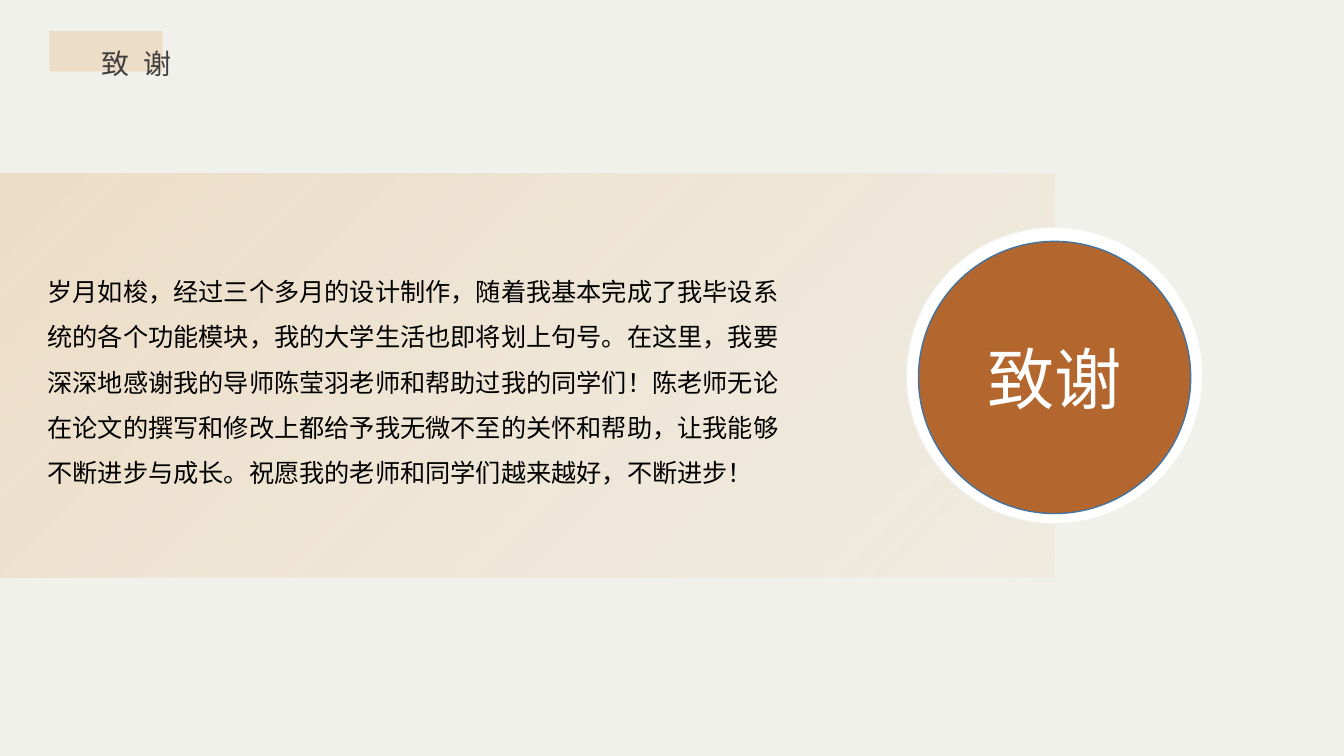
from lxml import etree
from pptx import Presentation
from pptx import util as u
from pptx.dml.color import RGBColor
from pptx.enum import shapes, text
from pptx.oxml import ns

COLORS = {"bg": "F1F1EB", "sand": "EDDDC6", "rust": "B3672E", "rim": "43739E",
          "white": "FFFFFF", "title": "404040", "body": "000000"}
FONT = "Noto Sans CJK SC"
W, H = 13.33, 7.5
THANKS = ("岁月如梭，经过三个多月的设计制作，随着我基本完成了我毕设系统的各个功能模块，"
          "我的大学生活也即将划上句号。在这里，我要深深地感谢我的导师陈莹羽老师和帮助过我的同学们！"
          "陈老师无论在论文的撰写和修改上都给予我无微不至的关怀和帮助，让我能够不断进步与成长。"
          "祝愿我的老师和同学们越来越好，不断进步！")


def rgb(name):
    return RGBColor.from_string(COLORS[name])


def place(sp, x, y, w, h):
    sp.left, sp.top, sp.width, sp.height = (u.Inches(v) for v in (x, y, w, h))


def add_shape(slide, kind, box, fill, line=None):
    sp = slide.shapes.add_shape(kind, *(u.Inches(v) for v in box))
    sp.shadow.inherit = False
    sp.fill.solid()
    sp.fill.fore_color.rgb = rgb(fill)
    if line:
        sp.line.color.rgb = rgb(line)
        sp.line.width = u.Pt(1)
    else:
        sp.line.fill.background()
    return sp


def add_disc(slide, cx, cy, d, fill, line):
    box = (cx - d / 2, cy - d / 2, d, d)
    return add_shape(slide, shapes.MSO_SHAPE.OVAL, box, fill, line)


def write(sp, words, size, color, spacing=1.0, tracking=0,
          anchor=text.MSO_ANCHOR.TOP, align=text.PP_ALIGN.LEFT):
    tf = sp.text_frame
    tf.word_wrap = True
    tf.auto_size = text.MSO_AUTO_SIZE.NONE
    tf.vertical_anchor = anchor
    p = tf.paragraphs[0]
    pPr = p._p.get_or_add_pPr()
    pPr.set("marL", "0")
    pPr.set("indent", "0")
    etree.SubElement(pPr, ns.qn("a:buNone"))
    p.alignment, p.line_spacing = align, spacing
    p.space_before = u.Pt(0)
    r = p.add_run()
    r.text = words
    r.font.size, r.font.name = u.Pt(size), FONT
    r.font.color.rgb = rgb(color)
    rPr = r._r.get_or_add_rPr()
    etree.SubElement(rPr, ns.qn("a:ea")).set("typeface", FONT)
    if tracking:
        rPr.set("spc", str(tracking * 100))


def fade(sp, color, stops, angle):
    """Fill with one colour at (position %, opacity %) stops."""
    sp.fill.gradient()
    sp.fill.gradient_angle = -angle % 360
    gs_list = sp.fill._fill._gradFill.find(ns.qn("a:gsLst"))
    for gs in list(gs_list):
        gs_list.remove(gs)
    for pos, opacity in stops:
        gs = etree.SubElement(gs_list, ns.qn("a:gs"), pos=str(pos * 1000))
        clr = etree.SubElement(gs, ns.qn("a:srgbClr"), val=COLORS[color])
        etree.SubElement(clr, ns.qn("a:alpha"), val=str(opacity * 1000))


def to_front(slide, sp):
    slide.shapes._spTree.append(sp._element)


def header(slide, x, y):
    # Sand tag with the title hanging off its corner
    add_shape(slide, shapes.MSO_SHAPE.RECTANGLE, (x, y, 1.12, 0.4), "sand")
    title = slide.shapes.title
    place(title, x + 0.42, y - 0.07, 3.5, 0.55)
    write(title, "致谢", 20, "title", spacing=1.5, tracking=10)
    to_front(slide, title)


def thanks_band(slide, x, y, w, h):
    # Fading band
    band = add_shape(slide, shapes.MSO_SHAPE.RECTANGLE, (x, y, w, h), "sand")
    fade(band, "sand", [(0, 100), (50, 54), (100, 27)], 45)
    # Message
    body = slide.placeholders[1]
    place(body, x + 0.37, y + 0.82, 7.59, 2.37)
    write(body, THANKS, 18, "body", spacing=1.5)
    to_front(slide, body)
    # Badge centred on the right edge of the band
    cx, cy = x + w, y + h / 2
    add_disc(slide, cx, cy, 2.94, "white", "bg")
    badge = add_disc(slide, cx, cy + 0.02, 2.7, "rust", "rim")
    write(badge, "致谢", 48, "white", anchor=text.MSO_ANCHOR.MIDDLE,
          align=text.PP_ALIGN.CENTER)


def main():
    prs = Presentation()
    prs.slide_width, prs.slide_height = u.Inches(W), u.Inches(H)
    slide = prs.slides.add_slide(prs.slide_layouts[1])
    slide.background.fill.solid()
    slide.background.fill.fore_color.rgb = rgb("bg")
    thanks_band(slide, 0, 1.72, 10.46, 4.01)
    header(slide, 0.49, 0.31)
    prs.save("out.pptx")


if __name__ == "__main__":
    main()
